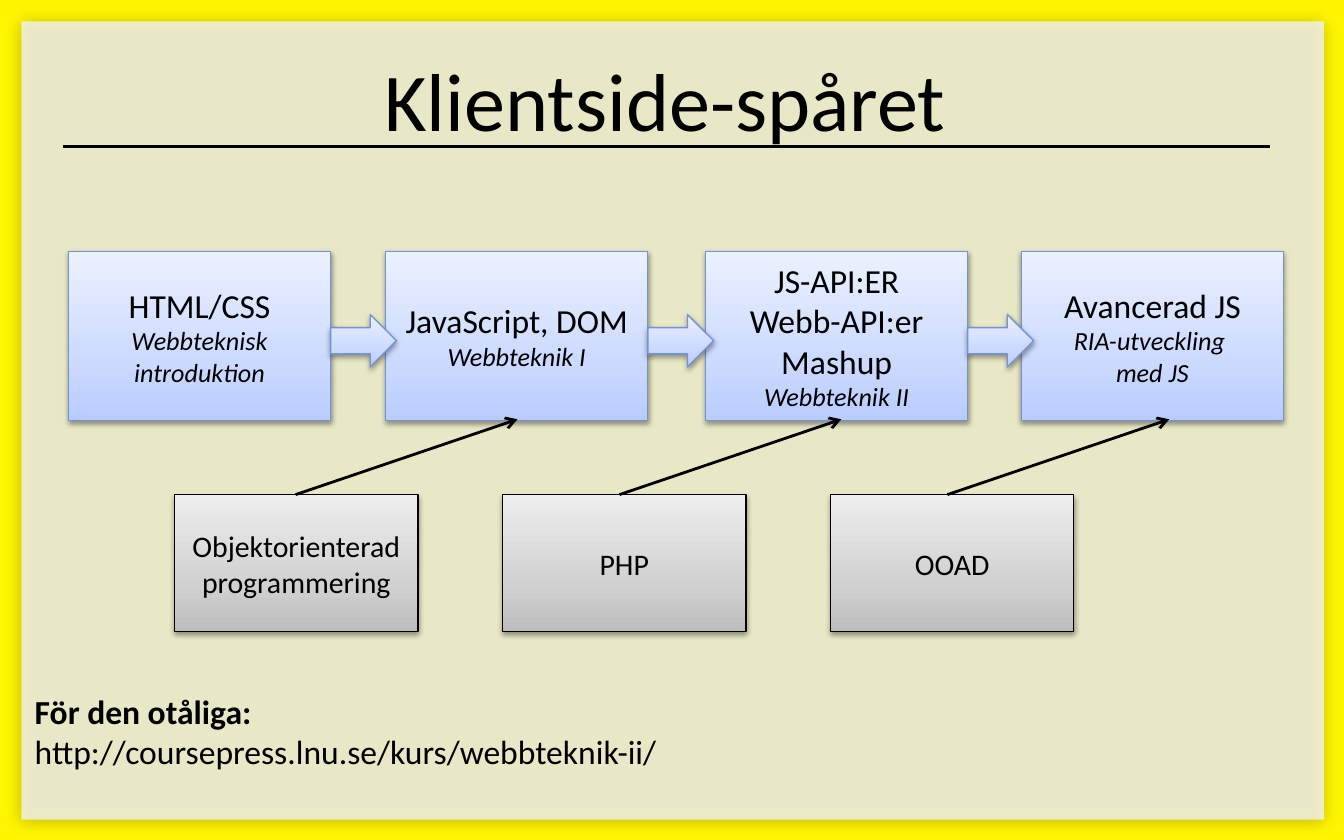
from copy import deepcopy
from dataclasses import dataclass

from lxml.etree import SubElement
from pptx import Presentation
from pptx.dml.color import RGBColor
from pptx.enum.shapes import MSO_CONNECTOR, MSO_SHAPE
from pptx.enum.text import MSO_ANCHOR, PP_ALIGN
from pptx.oxml.ns import qn
from pptx.util import Inches, Pt


@dataclass(frozen=True)
class Theme:
    font: str = "Calibri"
    ink: str = "000000"
    frame: str = "FFF500"
    panel: str = "F2F2F2"
    edge: str = "7094D7"
    blue: tuple = ("B8CCFF", "CCDAFF", "EBF1FF")
    gray: tuple = ("BDBDBD", "D1D1D1", "EEEEEE")
    title: int = 44
    head: int = 18
    side: int = 16
    note: int = 14


THEME = Theme()

# Course boxes: left edge, heading, course name
STEPS = [
    (0.51, "HTML/CSS", "Webbteknisk introduktion"),
    (2.87, "JavaScript, DOM", "Webbteknik I"),
    (5.25, "JS-API:ER\vWebb-API:er\vMashup", "Webbteknik II"),
    (7.6, "Avancerad JS", "RIA-utveckling \vmed JS"),
]
TOP, WIDE, HIGH = 1.87, 1.95, 1.26

# Side courses: text, start of the link line
SIDES = [
    ("Objektorienterad programmering", 2.2),
    ("PHP", 4.61),
    ("OOAD", 7.05),
]
LEFT, STEP, BASE = 1.3, 2.44, 3.68


def rgb(color):
    return RGBColor.from_string(color)


def style(para, size, align=PP_ALIGN.CENTER, italic=False):
    para.alignment = align
    font = para.font
    font.name, font.size, font.italic = THEME.font, Pt(size), italic
    font.color.rgb = rgb(THEME.ink)


def shade(shape, alpha, blur, dist):
    """Give the shape a soft shadow straight below it."""
    shape.shadow.inherit = False
    effects = shape._element.spPr.find(qn("a:effectLst"))
    outer = SubElement(effects, qn("a:outerShdw"), blurRad=str(Pt(blur)),
                       dist=str(Pt(dist)), dir="5400000", rotWithShape="0")
    tone = SubElement(outer, qn("a:srgbClr"), val=THEME.ink)
    SubElement(tone, qn("a:alpha"), val=str(alpha * 1000))


def blend(shape, colors):
    """Fill with a three-stop gradient, darkest at the bottom."""
    fill = shape.fill
    fill.gradient()
    fill.gradient_angle = 90
    stops = next(shape._element.spPr.iter(qn("a:gsLst")))
    stops.append(deepcopy(stops[0]))
    for stop, spot, color in zip(fill.gradient_stops, (0, 0.35, 1), colors):
        stop.position = spot
        stop.color.rgb = rgb(color)


def add_plain(slide, box, color):
    shape = slide.shapes.add_shape(MSO_SHAPE.RECTANGLE, *map(Inches, box))
    shape.shadow.inherit = False
    shape.fill.solid()
    shape.fill.fore_color.rgb = rgb(color)
    shape.line.fill.background()
    return shape


def add_block(slide, kind, box, colors, edge, lines=()):
    """Add a shaded shape; lines hold text, size and italic."""
    shape = slide.shapes.add_shape(kind, *map(Inches, box))
    blend(shape, colors)
    shape.line.color.rgb = rgb(edge)
    shape.line.width = Pt(0.75)
    shade(shape, 38, 3.1, 1.6)
    frame = shape.text_frame
    frame.word_wrap = True
    frame.vertical_anchor = MSO_ANCHOR.MIDDLE
    for i, (text, size, italic) in enumerate(lines):
        para = frame.add_paragraph() if i else frame.paragraphs[0]
        para.text = text
        style(para, size, italic=italic)


def add_line(slide, start, end, arrow=False):
    line = slide.shapes.add_connector(
        MSO_CONNECTOR.STRAIGHT, *map(Inches, start + end))
    line.line.color.rgb = rgb(THEME.ink)
    line.line.width = Pt(1.5)
    props = line._element.spPr
    if arrow:
        SubElement(props.find(qn("a:ln")), qn("a:tailEnd"), type="arrow")
    SubElement(props, qn("a:effectLst"))


def add_text(slide, box):
    frame = slide.shapes.add_textbox(*map(Inches, box)).text_frame
    frame.word_wrap = True
    return frame


def main():
    deck = Presentation()
    deck.slide_width, deck.slide_height = Inches(10), Inches(6.25)
    slide = deck.slides.add_slide(deck.slide_layouts[6])

    # Yellow frame and translucent panel
    add_plain(slide, (0, 0, 10, 6.25), THEME.frame)
    panel = add_plain(slide, (0.16, 0.16, 9.69, 5.94), THEME.panel)
    tone = next(panel._element.spPr.iter(qn("a:srgbClr")))
    SubElement(tone, qn("a:alpha"), val="82000")
    shade(panel, 28, 8, 1)

    # Title and rule
    add_line(slide, (0.47, 1.09), (9.45, 1.09))
    frame = add_text(slide, (0.7, 0.31, 8.5, 0.85))
    frame.vertical_anchor = MSO_ANCHOR.MIDDLE
    title = frame.paragraphs[0]
    title.text = "Klientside-spåret"
    style(title, THEME.title)

    # Main track
    for left, head, note in STEPS:
        add_block(slide, MSO_SHAPE.RECTANGLE, (left, TOP, WIDE, HIGH),
                  THEME.blue, THEME.edge,
                  [(head, THEME.head, False), (note, THEME.note, True)])

    # Side courses with links up to the track
    for i, (text, start) in enumerate(SIDES):
        add_block(slide, MSO_SHAPE.RECTANGLE,
                  (LEFT + i * STEP, BASE, 1.81, 1.02),
                  THEME.gray, THEME.ink, [(text, THEME.side, False)])
        add_line(slide, (start, BASE), (start + 1.65, 3.12), arrow=True)

    # Arrows between the main boxes
    for left, *_ in STEPS[:-1]:
        add_block(slide, MSO_SHAPE.RIGHT_ARROW,
                  (left + WIDE, 2.34, 0.49, 0.39), THEME.blue, THEME.edge)

    # Reading tip
    tip = add_text(slide, (0.16, 5.09, 6.89, 0.71)).paragraphs[0]
    lead = tip.add_run()
    lead.text = "För den otåliga:"
    lead.font.bold = True
    tip.add_line_break()
    tip.add_run().text = "http://coursepress.lnu.se/kurs/webbteknik-ii/"
    style(tip, THEME.head, PP_ALIGN.LEFT)

    deck.save("out.pptx")


if __name__ == "__main__":
    main()
